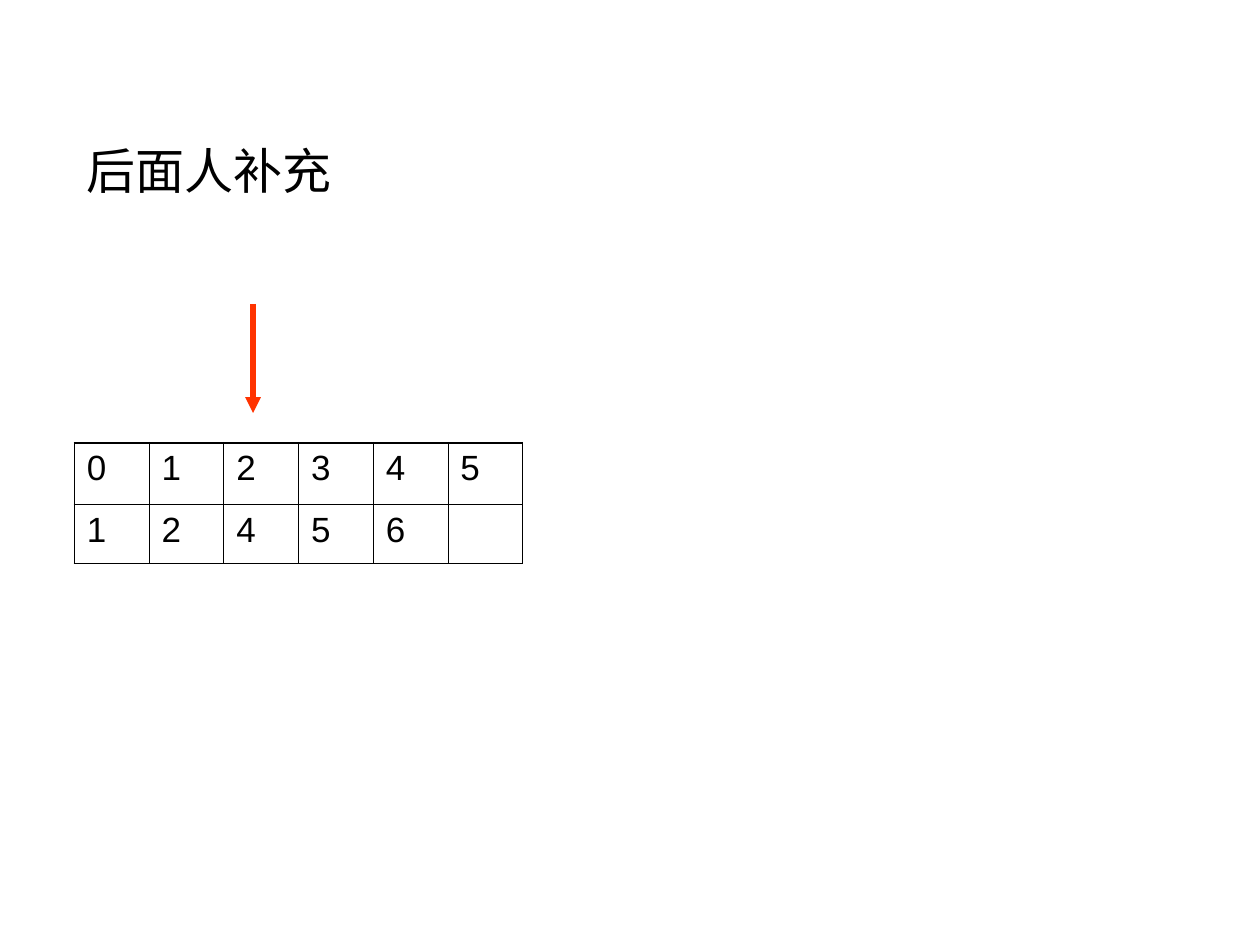
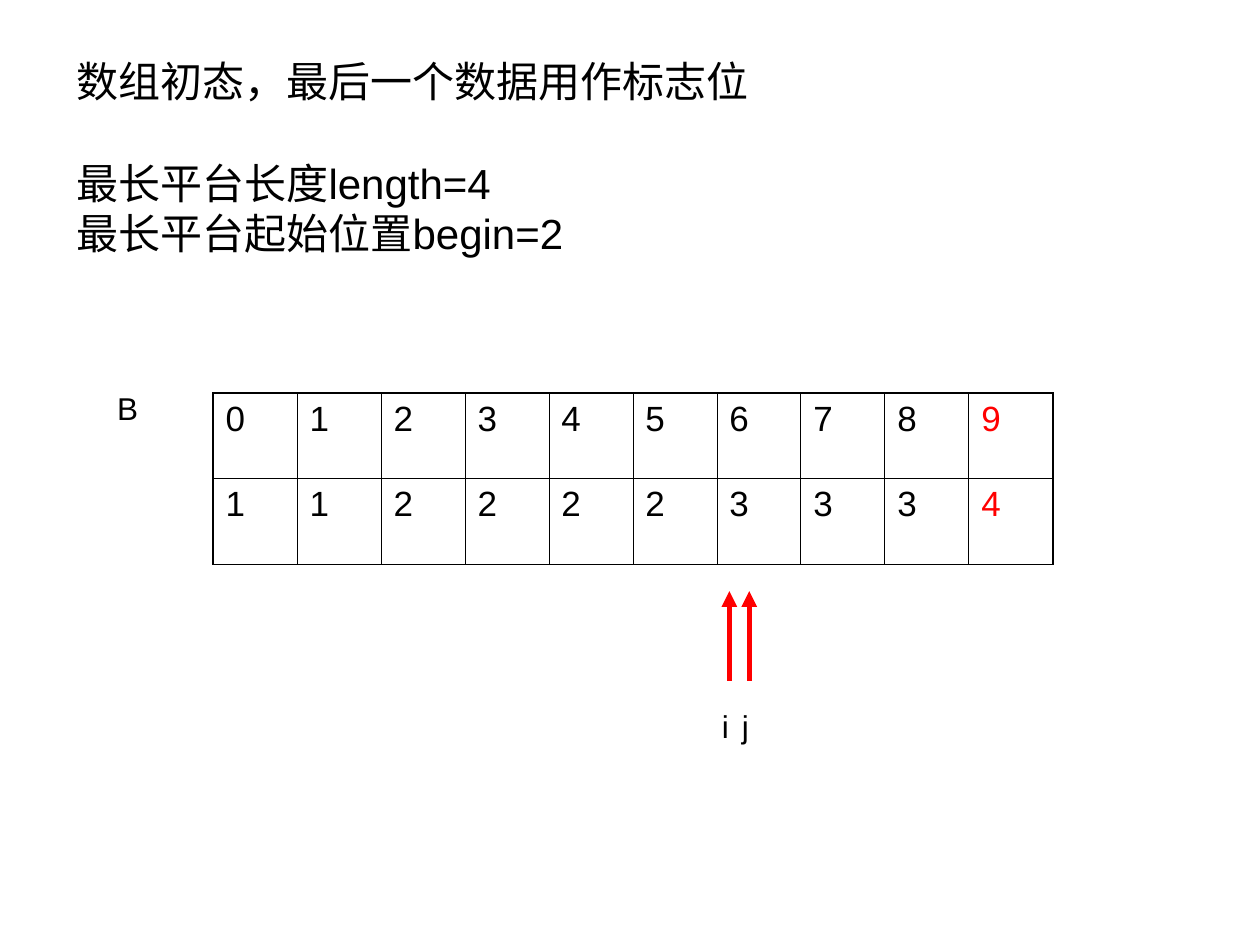
from dataclasses import dataclass

from lxml.etree import SubElement
from pptx import Presentation
from pptx.dml.color import RGBColor as Rgb
from pptx.enum.shapes import MSO_CONNECTOR as Link
from pptx.enum.text import MSO_ANCHOR as Anchor
from pptx.oxml.ns import qn
from pptx.slide import Slide
from pptx.text.text import TextFrame
from pptx.util import Pt


@dataclass(frozen=True)
class Theme:
    font: str = "Arial"
    ink: str = "000000"
    red: str = "FF0000"
    orange: str = "FF3300"
    title: float = 28
    subtitle: float = 24
    cell: float = 20
    label: float = 18
    arrow: float = 3
    edge: float = 1.08
    inner: float = 0.45


THEME = Theme()


@dataclass(frozen=True)
class Label:
    text: str
    left: float
    top: float
    width: float
    height: float = 28.8
    size: float = THEME.label
    anchor: Anchor = Anchor.TOP
    gap: float = 0


@dataclass(frozen=True)
class Arrow:
    x: float
    start: float
    end: float
    color: str = THEME.red


@dataclass(frozen=True)
class Grid:
    left: float
    top: float
    pitch: float
    heights: tuple[float, float]
    rows: tuple[str, str]
    marked: int = -1


def write(frame: TextFrame, text: str, *, size: float,
          color: str = THEME.ink, gap: float = 0) -> None:
    for i, line in enumerate(text.split("\n")):
        para = frame.add_paragraph() if i else frame.paragraphs[0]
        if i == 1 and gap:
            para.space_before = Pt(gap)
        run = para.add_run()
        run.text = line
        run.font.name = THEME.font
        run.font.size = Pt(size)
        run.font.color.rgb = Rgb.from_string(color)


def draw_label(slide: Slide, label: Label) -> None:
    box = slide.shapes.add_textbox(
        Pt(label.left), Pt(label.top), Pt(label.width), Pt(label.height))
    frame = box.text_frame
    frame.word_wrap = True
    frame.vertical_anchor = label.anchor
    write(frame, label.text, size=label.size, gap=label.gap)


def draw_arrow(slide: Slide, arrow: Arrow) -> None:
    line = slide.shapes.add_connector(
        Link.STRAIGHT, Pt(arrow.x), Pt(arrow.start), Pt(arrow.x), Pt(arrow.end))
    line.line.color.rgb = Rgb.from_string(arrow.color)
    line.line.width = Pt(THEME.arrow)
    props = line._element.spPr
    SubElement(props.find(qn("a:ln")), qn("a:tailEnd"), type="triangle")
    SubElement(props, qn("a:effectLst"))


def draw_edge(props, side: str, width: float) -> None:
    edge = SubElement(props, qn(f"a:ln{side}"), w=str(Pt(width)))
    fill = SubElement(edge, qn("a:solidFill"))
    SubElement(fill, qn("a:srgbClr"), val=THEME.ink)


def draw_grid(slide: Slide, grid: Grid) -> None:
    count = len(grid.rows[0])
    table = slide.shapes.add_table(
        2, count, Pt(grid.left), Pt(grid.top),
        Pt(grid.pitch * count), Pt(sum(grid.heights))).table
    table.first_row = table.horz_banding = False
    for col in table.columns:
        col.width = Pt(grid.pitch)
    for r, height in enumerate(grid.heights):
        table.rows[r].height = Pt(height)
        for c in range(count):
            cell = table.cell(r, c)
            text = grid.rows[r][c:c + 1]
            if text:
                color = THEME.red if c == grid.marked else THEME.ink
                write(cell.text_frame, text, size=THEME.cell, color=color)
            props = cell._tc.get_or_add_tcPr()
            outer = {"L": c == 0, "R": c == count - 1, "T": r == 0, "B": r == 1}
            for side, edge in outer.items():
                draw_edge(props, side, THEME.edge if edge else THEME.inner)
            cell.fill.background()


def main() -> None:
    deck = Presentation()
    deck.slide_width, deck.slide_height = Pt(720), Pt(540)
    blank = deck.slide_layouts[6]

    fill = deck.slides.add_slide(blank)
    draw_grid(fill, Grid(42.5, 253, 42.7, (35.3, 33.8), ("012345", "12456")))
    draw_label(fill, Label("后面人补充", 42.5, 54.7, 612, 85,
                           THEME.title, Anchor.MIDDLE))
    draw_arrow(fill, Arrow(144.6, 173.6, 236, THEME.orange))

    scan = deck.slides.add_slide(blank)
    draw_grid(scan, Grid(121.7, 224.6, 48, (49, 49),
                         ("0123456789", "1122223334"), marked=9))
    for i, name in enumerate("ij"):
        x = 416.8 + i * 11.4
        draw_arrow(scan, Arrow(x, 389, 337.8))
        draw_label(scan, Label(name, x - 11.4, 400.4, 22.4))
    draw_label(scan, Label("B", 59.8, 219, 45.4))
    draw_label(scan, Label(
        "数组初态，最后一个数据用作标志位\n最长平台长度length=4\n最长平台起始位置begin=2",
        36.7, 31.7, 612, 116, THEME.subtitle, Anchor.MIDDLE, gap=29))

    deck.save("out.pptx")


if __name__ == "__main__":
    main()
